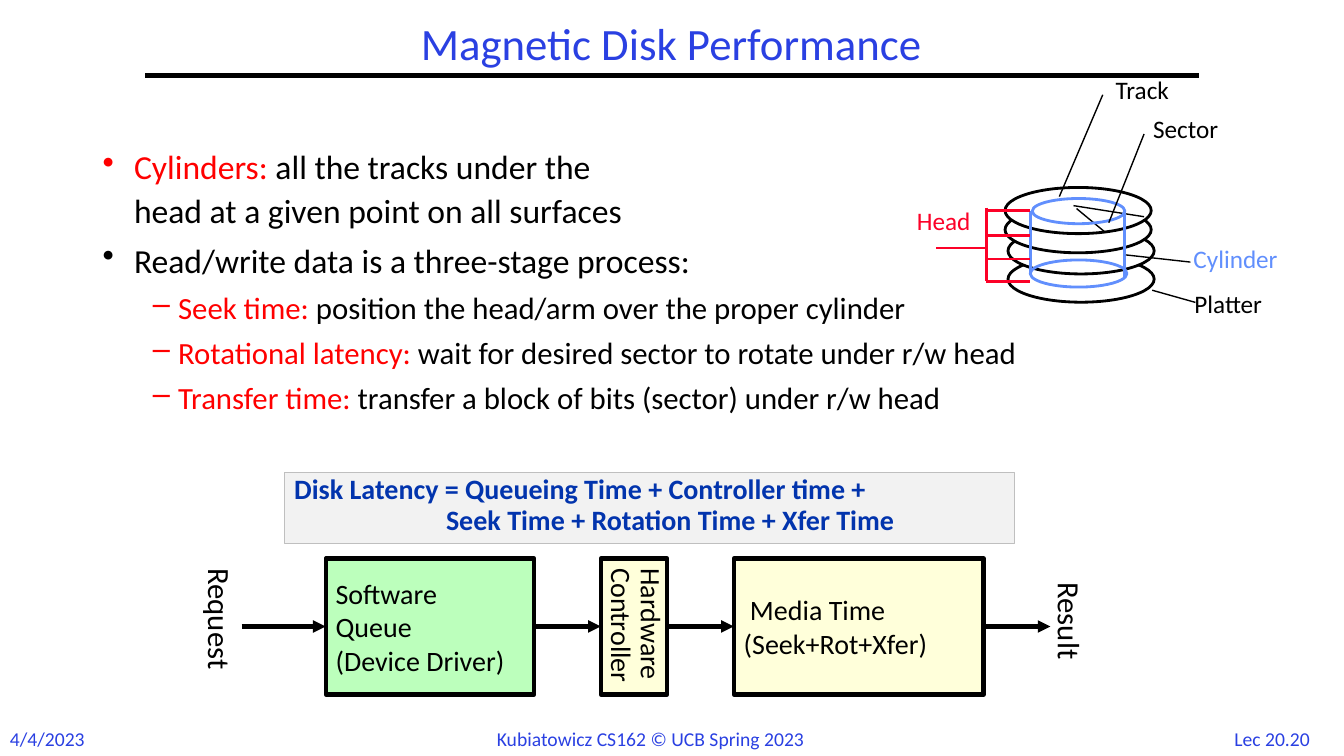
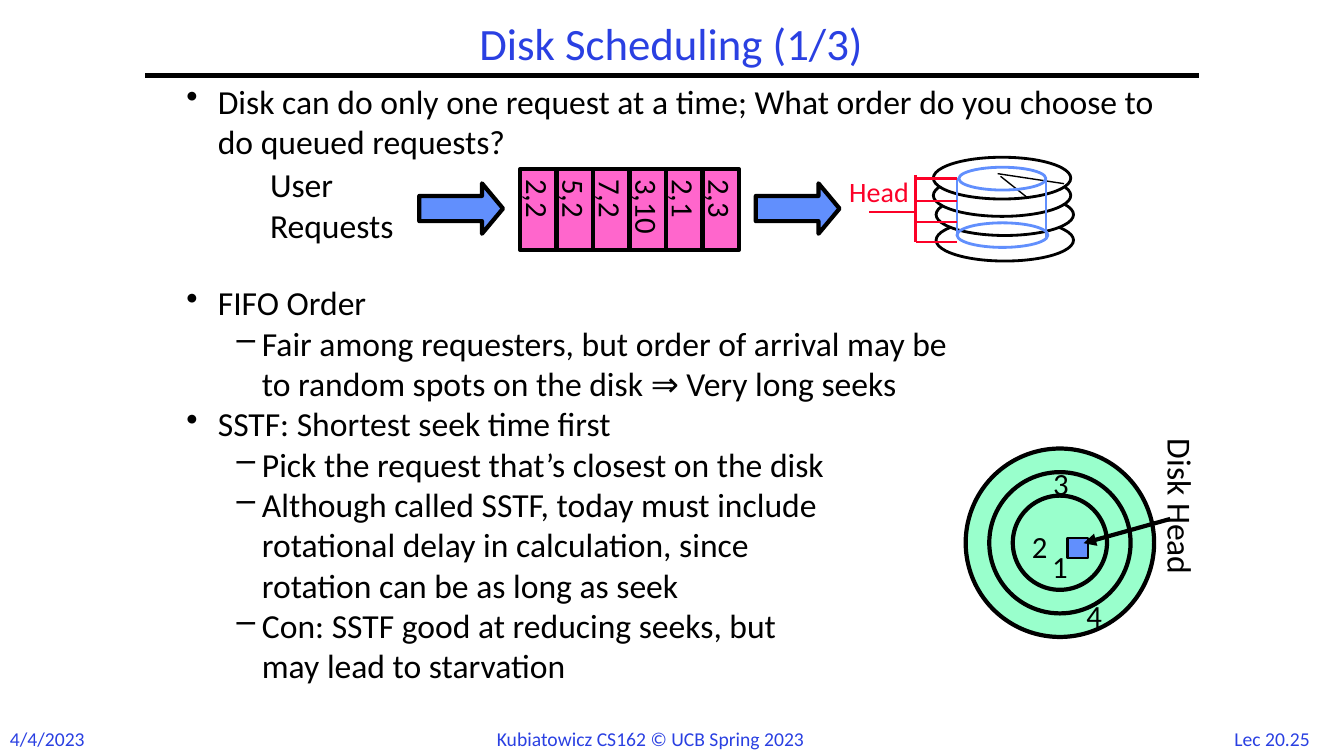
from pptx import Presentation
from pptx.dml.color import RGBColor
from pptx.enum.shapes import MSO_CONNECTOR, MSO_SHAPE
from pptx.enum.text import MSO_ANCHOR, MSO_AUTO_SIZE, PP_ALIGN
from pptx.oxml.ns import qn
from pptx.oxml.xmlchemy import OxmlElement
from pptx.util import Pt

RECT, OVAL, BLOCK_ARROW = MSO_SHAPE.RECTANGLE, MSO_SHAPE.OVAL, MSO_SHAPE.RIGHT_ARROW
STRAIGHT = MSO_CONNECTOR.STRAIGHT
TOP, MIDDLE = MSO_ANCHOR.TOP, MSO_ANCHOR.MIDDLE
LEFT, CENTER = PP_ALIGN.LEFT, PP_ALIGN.CENTER
GROW = MSO_AUTO_SIZE.SHAPE_TO_FIT_TEXT

FONT = "Calibri"
COLORS = {
    "black": "000000", "white": "FFFFFF", "title": "2A40E2", "red": "FF0000",
    "head": "FC0128", "cylinder": "618FFD", "formula": "0234AD",
    "formula_fill": "F2F2F2", "formula_line": "BFBFBF", "queue": "BCFFBC",
    "stage": "FFFFDA", "request": "FF66CC", "surface": "99FFCC",
}
INSETS = (7.2, 3.6)
LABEL_INSETS = (5, 2.2)
DISK_SIZE = (155.5, 82)


def rgb(name):
    return RGBColor.from_string(COLORS[name])


def style(paragraph, size, color="black", bold=False, align=LEFT, spacing=None):
    paragraph.alignment = align
    if spacing:
        paragraph.line_spacing = spacing
    font = paragraph.font
    font.name, font.size, font.bold = FONT, Pt(size), bold
    font.color.rgb = rgb(color)


def write(frame, lines, size, color="black", insets=INSETS, anchor=TOP,
          wrap=False, before=0, **look):
    """Fill a text frame with one paragraph per line."""
    frame.margin_left = frame.margin_right = Pt(insets[0])
    frame.margin_top = frame.margin_bottom = Pt(insets[1])
    frame.vertical_anchor, frame.word_wrap = anchor, wrap
    for i, text in enumerate(lines):
        paragraph = frame.add_paragraph() if i else frame.paragraphs[0]
        paragraph.text = text
        if i and before:
            paragraph.space_before = Pt(before)
        style(paragraph, size, color, **look)


def add_text(slide, box, lines, size, color="black", rotation=0, grow=True, **look):
    text_box = slide.shapes.add_textbox(*map(Pt, box))
    text_box.rotation = rotation
    write(text_box.text_frame, lines, size, color, **look)
    if grow:
        text_box.text_frame.auto_size = GROW


def add_shape(slide, kind, box, fill=None, line="black", width=3):
    shape = slide.shapes.add_shape(kind, *map(Pt, box))
    shape.shadow.inherit = False
    if fill:
        shape.fill.solid()
        shape.fill.fore_color.rgb = rgb(fill)
    else:
        shape.fill.background()
    shape.line.color.rgb = rgb(line)
    shape.line.width = Pt(width)
    return shape


def add_line(slide, start, end, color="black", width=1, arrow=False):
    connector = slide.shapes.add_connector(STRAIGHT, *map(Pt, (*start, *end)))
    connector.line.color.rgb = rgb(color)
    connector.line.width = Pt(width)
    properties = connector.element.spPr
    if arrow:
        tip = OxmlElement("a:tailEnd")
        tip.set("type", "triangle")
        properties.find(qn("a:ln")).append(tip)
    properties.append(OxmlElement("a:effectLst"))


def set_vertical(shape):
    shape.element.txBody.bodyPr.set("vert", "eaVert")


def add_bullet(paragraph, level, color):
    paragraph.level = level
    margin, hang, mark = ((22.5, 22.5, "•"), (54, 18, "–"))[level]
    properties = paragraph._p.get_or_add_pPr()
    properties.set("marL", str(Pt(margin)))
    properties.set("indent", str(-Pt(hang)))
    bullet_color = OxmlElement("a:buClr")
    value = OxmlElement("a:srgbClr")
    value.set("val", COLORS[color])
    bullet_color.append(value)
    char = OxmlElement("a:buChar")
    char.set("char", mark)
    properties.extend((bullet_color, char))


def bullet_list(slide, box, items, sizes, spacing=None, before=0):
    """Items are (level, red lead, lines, extra space before); before is a share of the size."""
    frame = slide.shapes.add_textbox(*map(Pt, box)).text_frame
    frame.word_wrap = True
    for i, (level, lead, lines, extra) in enumerate(items):
        paragraph = frame.add_paragraph() if i else frame.paragraphs[0]
        add_bullet(paragraph, level, "red" if lead else "black")
        if i:
            paragraph.space_before = Pt(before * sizes[level] + extra)
        style(paragraph, sizes[level], spacing=spacing)
        if lead:
            run = paragraph.add_run()
            run.text = lead
            run.font.color.rgb = rgb("red")
        for j, text in enumerate(lines):
            if j:
                paragraph.add_line_break()
            paragraph.add_run().text = text


def new_slide(deck, title, number):
    """Add a slide with the title, the rule below it and the footer."""
    slide = deck.slides.add_slide(deck.slide_layouts[6])
    add_text(slide, (103.7, 12.2, 751.7, 41.8), [title], 32, "title", grow=False,
             wrap=True, anchor=MIDDLE, align=CENTER, spacing=0.9)
    add_line(slide, (103.7, 54), (856.1, 54), width=3)
    for left, width, text, align in (
            (0, 69.1, "4/4/2023", LEFT),
            (347.8, 265, "Kubiatowicz CS162 © UCB Spring 2023", LEFT),
            (869.8, 77.8, f"Lec {number}", CENTER)):
        add_text(slide, (left, 515.5, width, 24.3), [text], 14, "title", align=align)
    return slide


def disk_stack(slide, box, head_size):
    """Platters, cylinder and comb of heads, scaled into the box."""
    left, top, width, height = box
    sx, sy = width / DISK_SIZE[0], height / DISK_SIZE[1]

    def oval(x, y, w, h, **look):
        add_shape(slide, OVAL, (left + x * sx, top + y * sy, w * sx, h * sy),
                  width=2, **look)

    def line(x1, y1, x2, y2, *look):
        add_line(slide, (left + x1 * sx, top + y1 * sy),
                 (left + x2 * sx, top + y2 * sy), *look)

    for x, y in ((51.1, 49), (51.1, 28.8), (49, 13.7), (49, 0)):
        oval(x, y, 104.4, 33, fill="white")
    line(100.1, 15.1, 120.2, 31.7)
    line(97.9, 13, 148.3, 20.9)
    oval(67, 51.8, 69.1, 19.4, line="cylinder")
    oval(68.4, 7.9, 66.2, 18, line="cylinder")
    line(67, 16.6, 67, 61.2, "cylinder", 2)
    line(134.6, 16.6, 134.6, 64.8, "cylinder", 2)
    line(35.5, 14.4, 35.5, 67, "head", 2)
    for y in (16.6, 34.6, 51.1, 67):
        line(35.5, y, 67, y, "head", 2)
    line(35.5, 43.2, 0, 43.2, "head", 2)
    add_text(slide, (left - 19, top + 14, head_size * 2.94, head_size * 1.23), ["Head"],
             head_size, "head", insets=LABEL_INSETS, spacing=0.85)


def disk_labels(slide, left, top):
    for text, color, x, y, width, start, end in (
            ("Sector", "black", 149.8, -51.8, 62.6, (123.1, 25.2), (148.3, -38.2)),
            ("Track", "black", 123.1, -79.9, 54.7, (87.8, 6.5), (118.8, -66.2)),
            ("Cylinder", "cylinder", 178.6, 41, 77, (135.4, 48.2), (181.4, 53.3)),
            ("Platter", "black", 179.3, 73.4, 62.6, (154.1, 73.4), (185, 82.1))):
        add_line(slide, (left + start[0], top + start[1]), (left + end[0], top + end[1]))
        add_text(slide, (left + x, top + y, width, 22.3), [text], 18, color,
                 insets=LABEL_INSETS, spacing=0.85)


def latency_formula(slide, box):
    formula = add_shape(slide, RECT, box, "formula_fill", "formula_line", 0.75)
    frame = formula.text_frame
    write(frame, ["Disk Latency = Queueing Time + Controller time +",
                  "Seek Time + Rotation Time + Xfer Time"],
          20, "formula", wrap=True, bold=True, spacing=0.8, before=3)
    frame.paragraphs[1]._p.get_or_add_pPr().set("marL", str(Pt(108.5)))


def request_pipeline(slide, box):
    """Stages joined by arrows, from Request to Result."""
    left, top, width, height = box
    middle = top + height / 2
    lead_in, gap = 60, 47.5
    stages = (
        (149, "queue", ["Software", "Queue", "(Device Driver)"], False),
        (47.5, "stage", ["Hardware", "Controller"], True),
        (178.5, "stage", [" Media Time", "(Seek+Rot+Xfer)"], False),
    )
    x, arrow_length = left, lead_in
    for stage_width, fill, lines, vertical in stages:
        stage_left = x + arrow_length
        stage = add_shape(slide, RECT, (stage_left, top, stage_width, height), fill)
        look = {"spacing": 0.8, "before": 2} if vertical else {}
        write(stage.text_frame, lines, 20, anchor=MIDDLE, **look)
        if vertical:
            set_vertical(stage)
        add_line(slide, (x, middle), (stage_left, middle), width=3, arrow=True)
        x, arrow_length = stage_left + stage_width, gap
    add_line(slide, (x, middle), (left + width, middle), width=3, arrow=True)
    for text, center, length in (("Request", left - 15.3, 97.2),
                                 ("Result", left + width + 14, 77)):
        add_text(slide, (center - length / 2, middle - 16.9, length, 33.8), [text], 22,
                 rotation=90)


def request_queue(slide, box):
    """User requests flowing through the queue towards the disk."""
    left, top, width, height = box
    add_text(slide, (left - 185.7, top - 7.2, 116.6, 65.5), ["User", "Requests"], 24)
    requests = ("2,2", "5,2", "7,2", "3,10", "2,1", "2,3")
    cell_width = width / len(requests)
    for i, request in enumerate(requests):
        cell = add_shape(slide, RECT, (left + i * cell_width, top, cell_width, height),
                         "request")
        write(cell.text_frame, [request], 22, anchor=MIDDLE)
        set_vertical(cell)
    for x in (left - 72, left + width + 12):
        arrow = add_shape(slide, BLOCK_ARROW, (x, top + 10, 59.8, 36), "cylinder")
        arrow.adjustments[0], arrow.adjustments[1] = 0.5, 0.417


def seek_order(slide, box):
    """Disk surface with numbered requests and the head."""
    left, top, size, _ = box
    cx, cy = left + size / 2, top + size / 2
    for share in (1, 0.75, 0.5):
        diameter = size * share
        add_shape(slide, OVAL, (cx - diameter / 2, cy - diameter / 2, diameter, diameter),
                  "surface")
    add_shape(slide, RECT, (cx + 5.4, cy - 3.3, 15, 14.5), "cylinder", width=1.5)
    for order, x, y in (("1", -12.6, 0.3), ("2", -27, -14.1),
                        ("3", -11.9, -59.5), ("4", 11.9, 34.9)):
        add_text(slide, (cx + x, cy + y, 26.6, 33.8), [order], 22)
    add_text(slide, (cx + 23.4, cy - 36.4, 126, 36), ["Disk Head"], 24, rotation=90)
    add_line(slide, (cx + 78.8, cy - 17), (cx + 16.9, cy + 0.3), width=3, arrow=True)


def performance_slide(deck):
    slide = new_slide(deck, "Magnetic Disk Performance", "20.20")
    bullet_list(slide, (66.2, 97.9, 828, 236.2), (
        (0, "Cylinders: ", ["all the tracks under the",
                            "head at a given point on all surfaces"], 0),
        (0, None, ["Read/write data is a three-stage process:"], 0),
        (1, "Seek time: ", ["position the head/arm over the proper cylinder"], 0),
        (1, "Rotational latency: ",
         ["wait for desired sector to rotate under r/w head"], 0),
        (1, "Transfer time: ", ["transfer a block of bits (sector) under r/w head"], 0),
    ), (24, 22), spacing=1.1, before=0.15)
    disk_left, disk_top = 668.9, 133.9
    disk_stack(slide, (disk_left, disk_top, *DISK_SIZE), 18)
    disk_labels(slide, disk_left, disk_top)
    request_pipeline(slide, (172.6, 398.9, 577.7, 97.2))
    latency_formula(slide, (203, 337.7, 522, 50.4))


def scheduling_slide(deck):
    slide = new_slide(deck, "Disk Scheduling (1/3)", "20.25")
    bullet_list(slide, (126, 54, 714.2, 473.8), (
        (0, None, ["Disk can do only one request at a time; What order do you choose to "
                   "do queued requests?"], 0),
        (0, None, ["FIFO Order"], 86.4),
        (1, None, ["Fair among requesters, but order of arrival may be",
                   "to random spots on the disk ⇒ Very long seeks"], 0),
        (0, None, ["SSTF: Shortest seek time first"], 0),
        (1, None, ["Pick the request that’s closest on the disk"], 0),
        (1, None, ["Although called SSTF, today must include",
                   "rotational delay in calculation, since",
                   "rotation can be as long as seek"], 0),
        (1, None, ["Con: SSTF good at reducing seeks, but", "may lead to starvation"], 0),
    ), (24, 24))
    request_queue(slide, (371.5, 121, 156.4, 57.6))
    disk_stack(slide, (620.6, 112.3, 146.2, 74.2), 20)
    seek_order(slide, (689.8, 320.4, 134.6, 134.6))


def main():
    deck = Presentation()
    deck.slide_width, deck.slide_height = Pt(960), Pt(540)
    performance_slide(deck)
    scheduling_slide(deck)
    deck.save("out.pptx")


if __name__ == "__main__":
    main()
